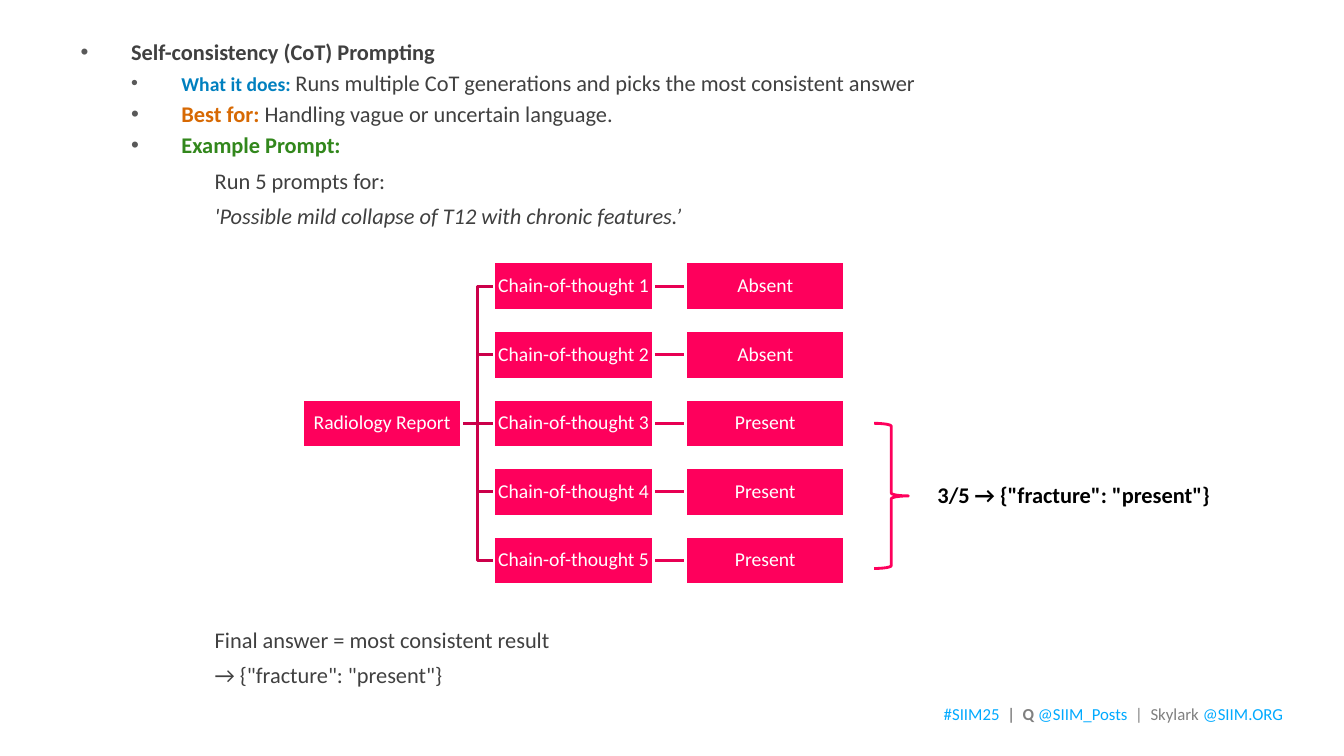
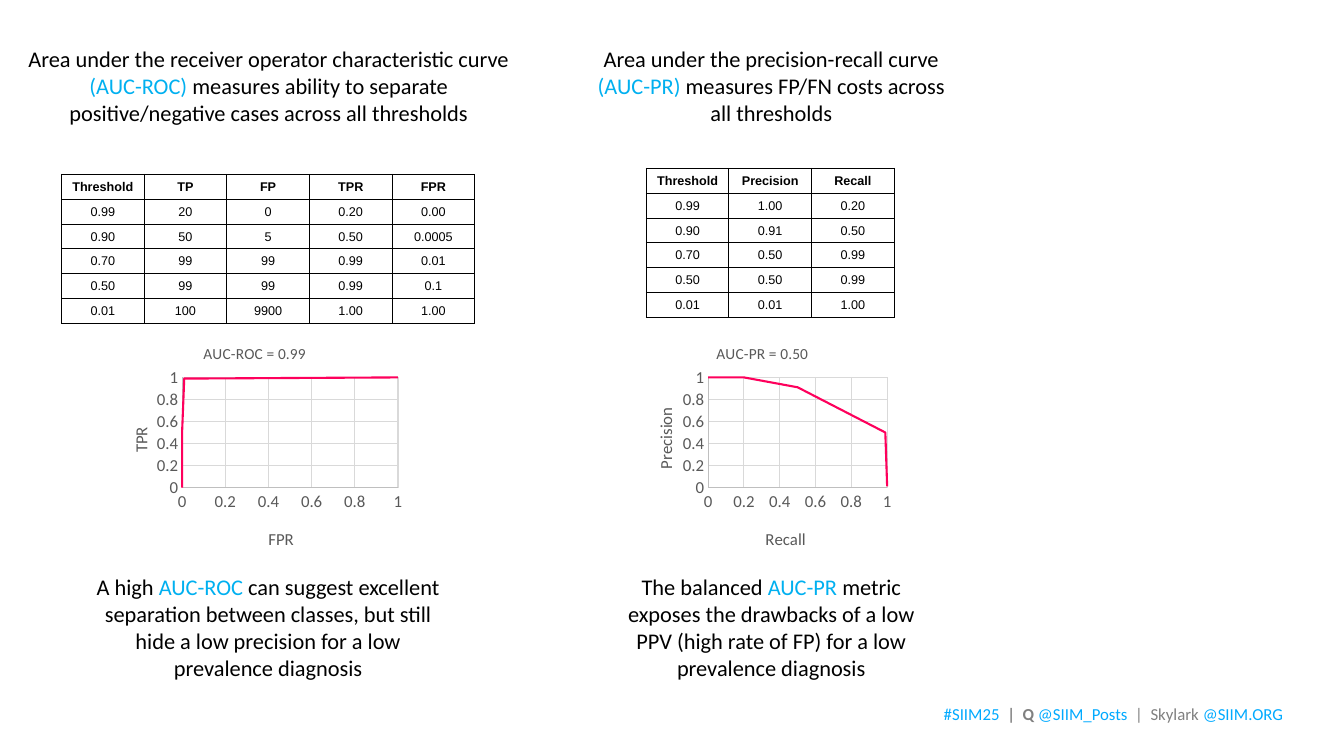
from lxml import etree
from pptx import Presentation
from pptx.chart.data import XyChartData
from pptx.dml.color import RGBColor
from pptx.enum.chart import XL_CHART_TYPE, XL_TICK_MARK
from pptx.enum.shapes import MSO_CONNECTOR, MSO_SHAPE
from pptx.enum.text import MSO_ANCHOR, PP_ALIGN
from pptx.oxml import parse_xml
from pptx.oxml.ns import nsdecls, qn
from pptx.util import Inches, Pt

# Colours and font
BLACK = RGBColor(0x00, 0x00, 0x00)
WHITE = RGBColor(0xFF, 0xFF, 0xFF)
DARK = RGBColor(0x40, 0x40, 0x40)
GRAY = RGBColor(0x59, 0x59, 0x59)
MID_GRAY = RGBColor(0x80, 0x80, 0x80)
AXIS_GRAY = RGBColor(0xBF, 0xBF, 0xBF)
GRID_GRAY = RGBColor(0xD9, 0xD9, 0xD9)
SKY = RGBColor(0x00, 0xAA, 0xFF)
CYAN = RGBColor(0x00, 0xB0, 0xF0)
BLUE = RGBColor(0x00, 0x80, 0xBF)
ORANGE = RGBColor(0xD7, 0x69, 0x03)
GREEN = RGBColor(0x32, 0x87, 0x1C)
PINK = RGBColor(0xFE, 0x00, 0x5C)
PINK_BRANCH = RGBColor(0xCB, 0x00, 0x4A)
PINK_LINK = RGBColor(0xE7, 0x00, 0x53)
FONT = "Calibri"

# Content: a paragraph is a list of (text, run format)
FOOTER = [("#SIIM25  ", {"color": SKY}), ("|  ", {"color": GRAY}),
          ("Q ", {"bold": True}), ("@SIIM_Posts  ", {"color": SKY}),
          ("|  Skylark ", {}), ("@SIIM.ORG", {"color": SKY})]

# (left margin, bullet, space before, runs)
PROMPT_NOTES = [
    (0.5, True, 0, [("Self-consistency (CoT) Prompting", {"bold": True})]),
    (1, True, 3, [("What it does: ", {"bold": True, "color": BLUE, "size": 14}),
                  ("Runs multiple CoT generations and picks the most consistent answer", {})]),
    (1, True, 3, [("Best for: ", {"bold": True, "color": ORANGE}),
                  ("Handling vague or uncertain language.", {})]),
    (1, True, 3, [("Example Prompt:", {"bold": True, "color": GREEN})]),
    (1.33, False, 6, [("Run 5 prompts for:", {})]),
    (1.33, False, 6, [("'Possible mild collapse of T12 with chronic features.’", {"italic": True})]),
]
FINAL_NOTES = [
    (1.33, False, 0, [("Final answer = most consistent result", {})]),
    (1.33, False, 6, [('→ {"fracture": "present"}', {})]),
]
ANSWERS = ["Absent", "Absent", "Present", "Present", "Present"]
VOTE = '3/5 → {"fracture": "present"}'

HILITE = {"color": CYAN}
METRICS = [
    {
        "intro": [("Area under the receiver operator characteristic curve ", {}),
                  ("(AUC-ROC) ", HILITE),
                  ("measures ability to separate positive/negative cases across all thresholds", {})],
        "intro_box": (0.14, 0.4, 5.05, 0.91),
        "table_at": (0.61, 1.73),
        "rows": [("Threshold", "TP", "FP", "TPR", "FPR"),
                 ("0.99", "20", "0", "0.20", "0.00"),
                 ("0.90", "50", "5", "0.50", "0.0005"),
                 ("0.70", "99", "99", "0.99", "0.01"),
                 ("0.50", "99", "99", "0.99", "0.1"),
                 ("0.01", "100", "9900", "1.00", "1.00")],
        "chart_box": (0.98, 3.21, 3.06, 2.43),
        "title": "AUC-ROC = 0.99", "x_title": "FPR", "y_title": "TPR",
        "points": [(0, 0), (0, 0.2), (0, 0.5), (0.01, 0.99), (0.1, 0.99), (1, 1)],
        "plot_at": (0.27, 0.22, 0.7, 0.45),
        "x_title_at": (0.54, 0.82), "y_title_at": (0.09, 0.41),
        "summary": [("A high ", {}), ("AUC-ROC", HILITE),
                    (" can suggest excellent separation between classes, but still "
                     "hide a low precision for a low prevalence diagnosis", {})],
        "summary_box": (0.86, 5.64, 3.6, 1.18),
    },
    {
        "intro": [("Area under the precision-recall curve ", {}),
                  ("(AUC-PR) ", HILITE),
                  ("measures FP/FN costs across all thresholds", {})],
        "intro_box": (5.78, 0.4, 3.74, 0.91),
        "table_at": (6.41, 1.67),
        "rows": [("Threshold", "Precision", "Recall"),
                 ("0.99", "1.00", "0.20"),
                 ("0.90", "0.91", "0.50"),
                 ("0.70", "0.50", "0.99"),
                 ("0.50", "0.50", "0.99"),
                 ("0.01", "0.01", "1.00")],
        "chart_box": (6.19, 3.21, 2.69, 2.43),
        "title": "AUC-PR = 0.50", "x_title": "Recall", "y_title": "Precision",
        "points": [(0, 1), (0.2, 1), (0.5, 0.91), (0.99, 0.5), (0.99, 0.5), (1, 0.01)],
        "plot_at": (0.31, 0.22, 0.66, 0.45),
        "x_title_at": (0.51, 0.82), "y_title_at": (0.1, 0.33),
        "summary": [("The balanced", {}), (" AUC-PR ", HILITE),
                    ("metric exposes the drawbacks of a low PPV (high rate of FP) "
                     "for a low prevalence diagnosis", {})],
        "summary_box": (6.12, 5.64, 3.06, 1.18),
    },
]


# Text helpers
def style(font, size=16, color=BLACK, bold=False, italic=False, name=FONT):
    font.size, font.bold, font.italic, font.name = Pt(size), bold, italic, name
    font.color.rgb = color


def write(p, runs, align=PP_ALIGN.LEFT, **fmt):
    p.alignment = align
    for text, own in runs:
        r = p.add_run()
        r.text = text
        style(r.font, **{**fmt, **own})


def text_frame(sp, insets=(0.1, 0.05), anchor=MSO_ANCHOR.TOP):
    tf = sp.text_frame
    tf.word_wrap = True
    tf.vertical_anchor = anchor
    tf.margin_left = tf.margin_right = Inches(insets[0])
    tf.margin_top = tf.margin_bottom = Inches(insets[1])
    return tf


def add_text(s, box, runs, insets=(0.1, 0.05), anchor=MSO_ANCHOR.TOP, **fmt):
    sp = s.shapes.add_textbox(*map(Inches, box))
    write(text_frame(sp, insets, anchor).paragraphs[0], runs, **fmt)


def add_notes(s, box, notes):
    tf = text_frame(s.shapes.add_textbox(*map(Inches, box)), (0.13, 0.07))
    for i, (margin, bullet, before, runs) in enumerate(notes):
        p = tf.add_paragraph() if i else tf.paragraphs[0]
        pPr = p._p.get_or_add_pPr()
        pPr.set("marL", str(Inches(margin)))
        if bullet:
            pPr.set("indent", str(Inches(-0.5)))
            color = etree.SubElement(pPr, qn("a:buClr"))
            etree.SubElement(color, qn("a:srgbClr")).set("val", str(GRAY))
            etree.SubElement(pPr, qn("a:buFont")).set("typeface", "Arial")
            etree.SubElement(pPr, qn("a:buChar")).set("char", "•")
        p.space_before = Pt(before)
        write(p, runs, color=DARK)


def new_slide(prs):
    s = prs.slides.add_slide(prs.slide_layouts[6])
    add_text(s, (9.36, 6.97, 3.58, 0.22), FOOTER, insets=(0, 0),
             anchor=MSO_ANCHOR.MIDDLE, size=12, color=MID_GRAY)
    return s


# Tree of reasoning chains
NODE_W, NODE_H, GAP = 1.58, 0.48, 0.32
COLS = [3 + i * (NODE_W + GAP) for i in range(3)]
ROWS = [2.6 + i * 0.68 for i in range(len(ANSWERS))]
ROOT_ROW = ROWS[2]


def add_node(s, x, y, text):
    sp = s.shapes.add_shape(MSO_SHAPE.RECTANGLE, *map(Inches, (x, y, NODE_W, NODE_H)))
    sp.shadow.inherit = False
    sp.fill.solid()
    sp.fill.fore_color.rgb = PINK
    sp.line.color.rgb = WHITE
    sp.line.width = Pt(2)
    p = text_frame(sp, (0.01, 0.01), MSO_ANCHOR.MIDDLE).paragraphs[0]
    p.line_spacing = 0.9
    write(p, [(text, {})], align=PP_ALIGN.CENTER, size=14, color=WHITE)


def add_link(s, col, y1, y2, color):
    kind = MSO_CONNECTOR.STRAIGHT if y1 == y2 else MSO_CONNECTOR.ELBOW
    x = COLS[col] + NODE_W
    mid = NODE_H / 2
    line = s.shapes.add_connector(kind, *map(Inches, (x, y1 + mid, x + GAP, y2 + mid)))
    line.line.color.rgb = color
    line.line.width = Pt(2)
    etree.SubElement(line._element.spPr, qn("a:effectLst"))


def consistency_slide(prs):
    s = new_slide(prs)
    add_notes(s, (0.67, 0.31, 12, 2.1), PROMPT_NOTES)
    add_notes(s, (0.67, 6.14, 8, 0.76), FINAL_NOTES)
    for y in ROWS:
        add_link(s, 0, ROOT_ROW, y, PINK_BRANCH)
        add_link(s, 1, y, y, PINK_LINK)
    add_node(s, COLS[0], ROOT_ROW, "Radiology Report")
    for i, (y, answer) in enumerate(zip(ROWS, ANSWERS), 1):
        add_node(s, COLS[1], y, f"Chain-of-thought {i}")
        add_node(s, COLS[2], y, answer)
    # Majority vote
    brace = s.shapes.add_shape(MSO_SHAPE.RIGHT_BRACE, *map(Inches, (8.67, 4.2, 0.34, 1.44)))
    brace.shadow.inherit = False
    brace.fill.background()
    brace.line.color.rgb = PINK
    brace.line.width = Pt(2)
    add_text(s, (9.2, 4.72, 3.33, 0.37), [(VOTE, {})], bold=True)


# Metric tables and charts
def add_grid(s, at, rows):
    n, cols = len(rows), len(rows[0])
    size = (0.82 * cols, 1.48)
    table = s.shapes.add_table(n, cols, *map(Inches, at + size)).table
    table.first_row = table.horz_banding = False
    for i, row in enumerate(rows):
        for j, text in enumerate(row):
            cell = table.cell(i, j)
            cell.vertical_anchor = MSO_ANCHOR.MIDDLE
            p = cell.text_frame.paragraphs[0]
            p.line_spacing = Pt(10.5)
            write(p, [(text, {})], align=PP_ALIGN.CENTER, size=9, bold=i == 0, name="Arial")
            tcPr = cell._tc.get_or_add_tcPr()
            for side in ("lnL", "lnR", "lnT", "lnB"):
                tcPr.append(parse_xml(
                    f'<a:{side} {nsdecls("a")} w="{Pt(0.75)}"><a:solidFill>'
                    f'<a:srgbClr val="{BLACK}"/></a:solidFill></a:{side}>'))
            cell.fill.background()


def make_layout(x, y, w=None, h=None):
    layout = etree.Element(qn("c:layout"))
    manual = etree.SubElement(layout, qn("c:manualLayout"))
    values = [("xMode", "edge"), ("yMode", "edge"), ("x", x), ("y", y)]
    if w:
        values = [("layoutTarget", "inner")] + values + [("w", w), ("h", h)]
    for tag, value in values:
        etree.SubElement(manual, qn("c:" + tag)).set("val", str(value))
    return layout


def set_title(title, text, at, size):
    write(title.text_frame.paragraphs[0], [(text, {})], align=PP_ALIGN.CENTER,
          size=size, color=GRAY)
    el = title._element
    for old in el.findall(qn("c:layout")):
        el.remove(old)
    el.find(qn("c:tx")).addnext(make_layout(*at))


def add_curve(s, m):
    data = XyChartData()
    series = data.add_series("Series 1")
    for x, y in m["points"]:
        series.add_data_point(x, y)
    chart = s.shapes.add_chart(XL_CHART_TYPE.XY_SCATTER_SMOOTH_NO_MARKERS,
                               *map(Inches, m["chart_box"]), data).chart
    style(chart.font, size=10)
    chart.has_legend = False
    chart.has_title = True
    set_title(chart.chart_title, m["title"], (0.33, 0.07), 11)
    for axis, key in ((chart.category_axis, "x_title"), (chart.value_axis, "y_title")):
        axis.minimum_scale, axis.maximum_scale, axis.major_unit = 0, 1, 0.2
        axis.major_tick_mark = axis.minor_tick_mark = XL_TICK_MARK.NONE
        axis.has_major_gridlines = True
        for line, color in ((axis.format.line, AXIS_GRAY),
                            (axis.major_gridlines.format.line, GRID_GRAY)):
            line.color.rgb = color
            line.width = Pt(0.75)
        style(axis.tick_labels.font, size=12, color=GRAY)
        axis.tick_labels.number_format = "General"
        axis.tick_labels.number_format_is_linked = False
        set_title(axis.axis_title, m[key], m[key + "_at"], 12)
    plot = chart.plots[0]
    plot.vary_by_categories = False
    curve = plot.series[0]
    curve.smooth = True
    curve.format.line.color.rgb = PINK
    curve.format.line.width = Pt(1.5)
    area = chart._chartSpace.find(".//" + qn("c:plotArea"))
    for old in area.findall(qn("c:layout")):
        area.remove(old)
    area.insert(0, make_layout(*m["plot_at"]))


def metrics_slide(prs):
    s = new_slide(prs)
    for m in METRICS:
        add_text(s, m["intro_box"], m["intro"], align=PP_ALIGN.CENTER)
        add_grid(s, m["table_at"], m["rows"])
        add_curve(s, m)
        add_text(s, m["summary_box"], m["summary"], align=PP_ALIGN.CENTER)


def main():
    prs = Presentation()
    prs.slide_width, prs.slide_height = Inches(13.33), Inches(7.5)
    consistency_slide(prs)
    metrics_slide(prs)
    prs.save("out.pptx")


if __name__ == "__main__":
    main()
